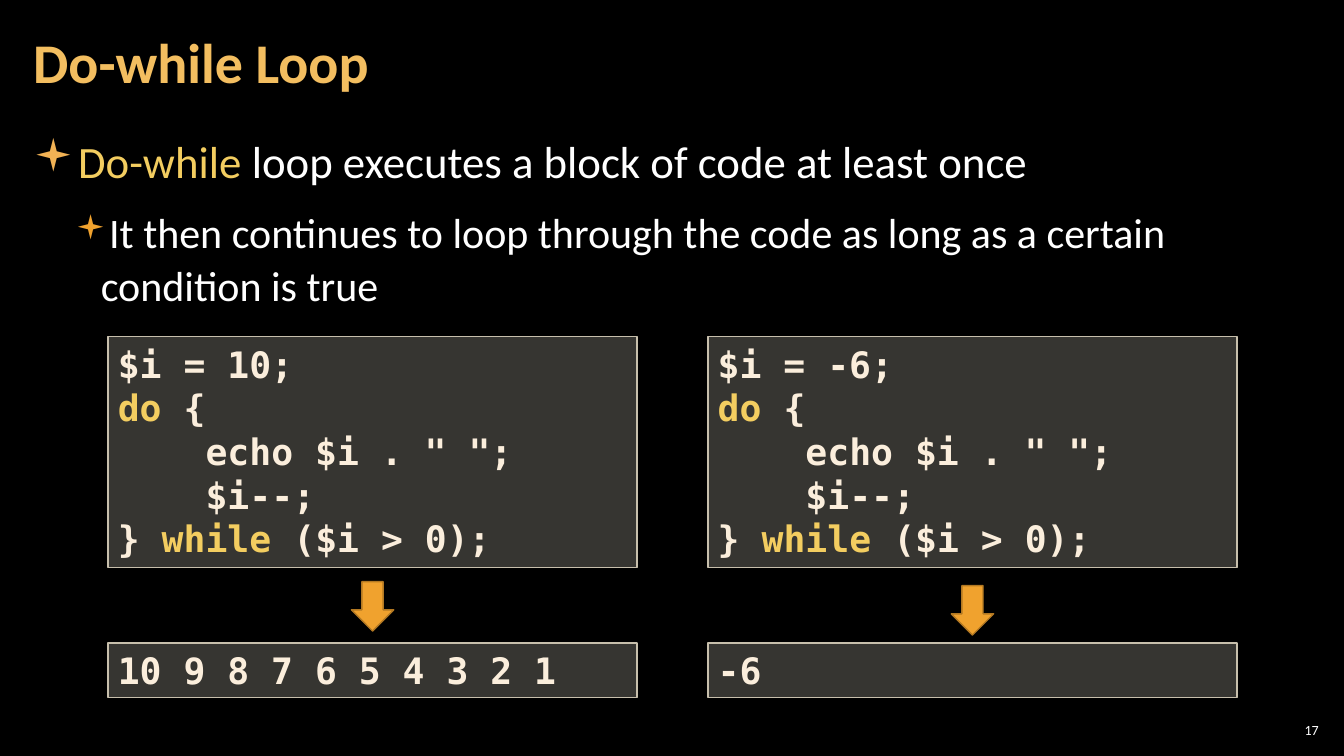
from lxml import etree
from pptx import Presentation, util as u
from pptx.dml.color import RGBColor
from pptx.enum import shapes, text
from pptx.oxml import ns

COLORS = {
    "background": "000000", "title": "F3BE60", "keyword": "F3CD60",
    "white": "FFFFFF", "code": "FBEEDC", "panel": "D9D5C7",
    "panel_edge": "C7BFAC", "arrow": "F0A22E", "arrow_edge": "B27822",
    "bullet": "F2B254", "sub_bullet": "F0A22E",
}
WIDTH, HEIGHT = 13.33, 7.5
MARGIN = 0.21
COLUMN_LEFT, COLUMN_STEP, COLUMN_WIDTH = 1.07, 5.95, 5.25
CODE_TOP, CODE_HEIGHT = 3.34, 2.29
OUTPUT_TOP, OUTPUT_HEIGHT = 6.38, 0.54
ARROW_WIDTH, ARROW_HEIGHT = 0.42, 0.49
CODE_INDENT = 0.87

deck = Presentation()
deck.slide_width, deck.slide_height = u.Inches(WIDTH), u.Inches(HEIGHT)
page = deck.slides.add_slide(deck.slide_layouts[6])
page.background.fill.solid()
page.background.fill.fore_color.rgb = RGBColor.from_string(COLORS["background"])


def write(box, lines, font, anchor=text.MSO_ANCHOR.TOP, side=0.1, edge=0.05):
    frame = box.text_frame
    layout = {
        "word_wrap": True, "vertical_anchor": anchor,
        "margin_left": u.Inches(side), "margin_right": u.Inches(side),
        "margin_top": u.Inches(edge), "margin_bottom": u.Inches(edge),
    }
    for name, value in layout.items():
        setattr(frame, name, value)
    for index, line in enumerate(lines):
        para = frame.paragraphs[0] if index == 0 else frame.add_paragraph()
        para.alignment = text.PP_ALIGN.LEFT
        for words, color in line:
            span = para.add_run()
            span.text = words
            span.font.color.rgb = RGBColor.from_string(COLORS[color])
            for name, value in font.items():
                setattr(span.font, name, value)
    return frame.paragraphs


def add_block(kind, left, top, width, height, fill, edge):
    block = page.shapes.add_shape(kind, *map(u.Inches, (left, top, width, height)))
    block.shadow.inherit = False
    block.fill.solid()
    block.fill.fore_color.rgb = RGBColor.from_string(COLORS[fill])
    block.line.color.rgb = RGBColor.from_string(COLORS[edge])
    block.line.width = u.Pt(1)
    return block


title_box = page.shapes.add_textbox(*map(u.Inches, (MARGIN, 0.04, 10.47, 1.21)))
title = write(title_box, [[("Do-while Loop", "title")]],
              {"name": "Calibri", "size": u.Pt(40), "bold": True},
              text.MSO_ANCHOR.MIDDLE, 0.12, 0.04)
title[0].line_spacing = 0.9

body_box = page.shapes.add_textbox(
    *map(u.Inches, (MARGIN, 1.26, WIDTH - 2 * MARGIN, 6.09)))
body_lines = [
    [("Do-while ", "keyword"),
     ("loop executes a block of code at least once", "white")],
    [("It then continues to loop through the code as long as a certain "
      "condition is true", "white")],
]
bullets = [
    (32, 0.33, -0.33, "bullet", 100),
    (30, 0.67, -0.25, "sub_bullet", 80),
]
body = write(body_box, body_lines, {"name": "Calibri"}, side=0.12, edge=0.04)
for level, (para, bullet) in enumerate(zip(body, bullets)):
    size, indent, hanging, color, percent = bullet
    spacing = {"level": level, "line_spacing": 1.05,
               "space_before": u.Pt(6), "space_after": u.Pt(6)}
    for name, value in spacing.items():
        setattr(para, name, value)
    for span in para.runs:
        span.font.size = u.Pt(size)
    properties = para._p.get_or_add_pPr()
    properties.set("marL", str(u.Inches(indent)))
    properties.set("indent", str(u.Inches(hanging)))
    bullet_color = etree.SubElement(properties, ns.qn("a:buClr"))
    etree.SubElement(bullet_color, ns.qn("a:srgbClr"), val=COLORS[color])
    etree.SubElement(properties, ns.qn("a:buSzPct"), val=str(percent * 1000))
    etree.SubElement(properties, ns.qn("a:buFont"), typeface="Wingdings")
    etree.SubElement(properties, ns.qn("a:buChar"), char="▪")

code_font = {"name": "DejaVu Sans Mono", "size": u.Pt(26), "bold": True}
examples = [("10", "10 9 8 7 6 5 4 3 2 1", 5.77), ("-6", "-6", 5.81)]
for column, (start, output, arrow_top) in enumerate(examples):
    left = COLUMN_LEFT + column * COLUMN_STEP
    code_lines = [
        [(f"$i = {start};", "code")],
        [("do", "keyword"), (" {", "code")],
        [('echo $i . " ";', "code")],
        [("$i--;", "code")],
        [("} ", "code"), ("while", "keyword"), (" ($i > 0);", "code")],
    ]
    panels = [
        (CODE_TOP, CODE_HEIGHT, code_lines),
        (OUTPUT_TOP, OUTPUT_HEIGHT, [[(output, "code")]]),
    ]
    for top, height, lines in panels:
        panel = add_block(shapes.MSO_SHAPE.RECTANGLE, left, top,
                          COLUMN_WIDTH, height, "panel", "panel_edge")
        panel_color = panel.fill._xPr.find(ns.qn("a:solidFill"))[0]
        etree.SubElement(panel_color, ns.qn("a:alpha"), val="25000")
        paragraphs = write(panel, lines, code_font)
        for para in paragraphs[2:4]:
            para._p.get_or_add_pPr().set("marL", str(u.Inches(CODE_INDENT)))
    add_block(shapes.MSO_SHAPE.DOWN_ARROW,
              left + (COLUMN_WIDTH - ARROW_WIDTH) / 2, arrow_top,
              ARROW_WIDTH, ARROW_HEIGHT, "arrow", "arrow_edge")

number_box = page.shapes.add_textbox(*map(u.Inches, (12.65, 7.14, 0.47, 0.21)))
number = write(number_box, [[("17", "white")]],
               {"name": "Calibri", "size": u.Pt(10)},
               text.MSO_ANCHOR.MIDDLE, 0.04, 0.04)
number[0].alignment = text.PP_ALIGN.RIGHT

deck.save("out.pptx")
